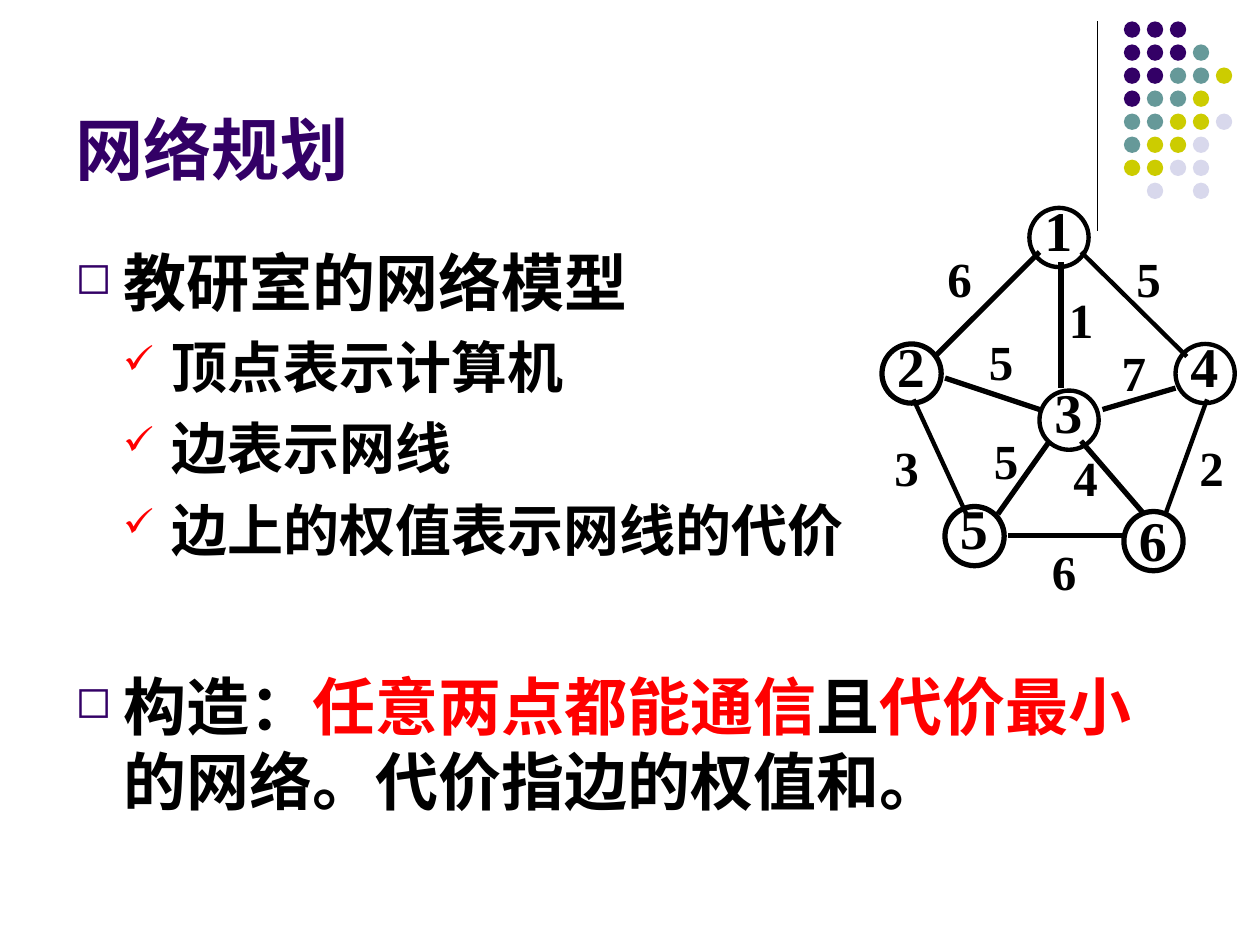
"""Build the network planning slide with its weighted graph."""
from dataclasses import dataclass

from lxml.etree import SubElement
from pptx import Presentation
from pptx.dml.color import RGBColor
from pptx.enum.shapes import MSO_CONNECTOR as Connector, MSO_SHAPE as Shape
from pptx.enum.text import MSO_ANCHOR as Anchor, PP_ALIGN as Align
from pptx.oxml.ns import qn
from pptx.util import Inches, Pt

PURPLE = RGBColor(0x33, 0x00, 0x66)
TEAL = RGBColor(0x66, 0x99, 0x99)
OLIVE = RGBColor(0xCC, 0xCC, 0x00)
LAVENDER = RGBColor(0xD8, 0xD8, 0xEC)
BLACK = RGBColor(0x00, 0x00, 0x00)
RED = RGBColor(0xFF, 0x00, 0x00)

DOT_COLORS = {"P": PURPLE, "T": TEAL, "O": OLIVE, "L": LAVENDER}
DOT_ROWS = ("PPP", "PPPT", "PPTTO", "PTTO", "TTOOL", "TOOL", "OOLL", " L L")
DOT_LEFT, DOT_TOP, DOT_SIZE = 8.92, 0.17, 0.13
DOT_COLUMN_PITCH = (9.65 - DOT_LEFT) / 4
DOT_ROW_PITCH = (1.45 - DOT_TOP) / 7
NODE_SIZE = 0.47


@dataclass(frozen=True)
class Node:
    name: str
    left: float
    top: float
    line_width: float = 3
    text_rise: float = 0.15


@dataclass(frozen=True)
class Edge:
    start: tuple[float, float]
    end: tuple[float, float]
    line_width: float = 3


@dataclass(frozen=True)
class Weight:
    value: str
    left: float
    top: float
    align: Align = Align.LEFT


@dataclass(frozen=True)
class Bullet:
    mark: str
    color: RGBColor
    size: int
    indent: float


@dataclass(frozen=True)
class Item:
    bullet: Bullet
    space_before: float
    runs: tuple[tuple[str, RGBColor], ...]


NODES = (
    Node("1", 8.17, 1.65, 2.5),
    Node("2", 7, 2.73),
    Node("3", 8.25, 3.1, 2.5),
    Node("4", 9.33, 2.73, 2.5),
    Node("5", 7.5, 4.02),
    Node("6", 8.92, 4.06, text_rise=0.1),
)
EDGES = (
    Edge((8.25, 2), (7.42, 2.83)),
    Edge((8.58, 2), (9.42, 2.83), 2.5),
    Edge((7.25, 3.17), (7.67, 4.08), 2.5),
    Edge((8, 4.25), (8.92, 4.25)),
    Edge((9.58, 3.17), (9.25, 4.08), 2.5),
    Edge((8.42, 2.08), (8.42, 3.08)),
    Edge((8.33, 3.5), (7.92, 4.08)),
    Edge((8.58, 3.5), (9.08, 4.08)),
    Edge((8.75, 3.25), (9.33, 3.08)),
    Edge((7.5, 3), (8.25, 3.25)),
)
WEIGHTS = (
    Weight("6", 7.42, 1.92),
    Weight("5", 8.92, 1.92),
    Weight("1", 8.33, 2.25, Align.CENTER),
    Weight("5", 7.75, 2.58),
    Weight("7", 8.75, 2.67, Align.CENTER),
    Weight("3", 7, 3.42),
    Weight("5", 7.79, 3.37),
    Weight("4", 8.42, 3.5),
    Weight("2", 9.42, 3.42),
    Weight("6", 8.25, 4.25),
)
SQUARE = Bullet("◻", PURPLE, 36, 0.38)
CHECK = Bullet("✓", RED, 32, 0.76)
ITEMS = (
    Item(SQUARE, 0, (("教研室的网络模型", BLACK),)),
    Item(CHECK, 8, (("顶点表示计算机", BLACK),)),
    Item(CHECK, 8, (("边表示网线", BLACK),)),
    Item(CHECK, 8, (("边上的权值表示网线的代价", BLACK),)),
    Item(SQUARE, 60, (("构造：", BLACK), ("任意两点都能通信", RED), ("且", BLACK),
                      ("代价最小", RED), ("的网络。代价指边的权值和。", BLACK))),
)


def add_run(paragraph, text: str, size: float, color: RGBColor, font: str = "Arial") -> None:
    run = paragraph.add_run()
    run.text = text
    run.font.name = font
    run.font.size = Pt(size)
    run.font.bold = True
    run.font.color.rgb = color


def add_text_frame(shapes, left: float, top: float, width: float, height: float):
    box = shapes.add_textbox(Inches(left), Inches(top), Inches(width), Inches(height))
    box.text_frame.word_wrap = True
    return box.text_frame


def add_digit(shapes, text: str, left: float, top: float, width: float, height: float,
              size: float, align: Align) -> None:
    paragraph = add_text_frame(shapes, left, top, width, height).paragraphs[0]
    paragraph.alignment = align
    add_run(paragraph, text, size, BLACK, "Times New Roman")


def add_line(shapes, edge: Edge) -> None:
    points = (Inches(value) for value in (*edge.start, *edge.end))
    line = shapes.add_connector(Connector.STRAIGHT, *points)
    line.line.color.rgb = BLACK
    line.line.width = Pt(edge.line_width)
    SubElement(line._element.spPr, qn("a:effectLst"))


def add_circle(shapes, left: float, top: float, size: float):
    circle = shapes.add_shape(Shape.OVAL, Inches(left), Inches(top), Inches(size), Inches(size))
    circle.shadow.inherit = False
    return circle


def add_dots(shapes) -> None:
    for row, codes in enumerate(DOT_ROWS):
        for column, code in enumerate(codes):
            if code in DOT_COLORS:
                dot = add_circle(shapes, DOT_LEFT + column * DOT_COLUMN_PITCH,
                                 DOT_TOP + row * DOT_ROW_PITCH, DOT_SIZE)
                dot.fill.solid()
                dot.fill.fore_color.rgb = DOT_COLORS[code]
                dot.line.fill.background()


def add_node(shapes, node: Node) -> None:
    circle = add_circle(shapes, node.left, node.top, NODE_SIZE)
    circle.fill.background()
    circle.line.color.rgb = BLACK
    circle.line.width = Pt(node.line_width)
    add_digit(shapes, node.name, node.left + 0.02, node.top - node.text_rise,
              0.34, 0.64, 32, Align.CENTER)


def add_item(paragraph, item: Item) -> None:
    bullet = item.bullet
    properties = paragraph._p.get_or_add_pPr()
    properties.set("marL", str(Inches(bullet.indent)))
    properties.set("indent", str(-Inches(0.38)))
    color = SubElement(properties, qn("a:buClr"))
    SubElement(color, qn("a:srgbClr"), val=str(bullet.color))
    SubElement(properties, qn("a:buSzPct"), val="70000")
    SubElement(properties, qn("a:buChar"), char=bullet.mark)
    paragraph.space_before = Pt(item.space_before)
    for text, text_color in item.runs:
        add_run(paragraph, text, bullet.size, text_color)


def main() -> None:
    presentation = Presentation()
    presentation.slide_width, presentation.slide_height = Inches(10), Inches(7.5)
    slide = presentation.slides.add_slide(presentation.slide_layouts[6])

    add_line(slide.shapes, Edge((8.71, 0.17), (8.71, 1.83), 0.75))
    add_dots(slide.shapes.add_group_shape().shapes)

    title = add_text_frame(slide.shapes, 0.5, 0.13, 8.25, 1.42)
    title.vertical_anchor = Anchor.BOTTOM
    add_run(title.paragraphs[0], "网络规划", 39, PURPLE)

    body = add_text_frame(slide.shapes, 0.5, 1.88, 9, 4.82)
    for index, item in enumerate(ITEMS):
        add_item(body.add_paragraph() if index else body.paragraphs[0], item)

    graph = slide.shapes.add_group_shape().shapes
    for node in NODES:
        add_node(graph, node)
    for edge in EDGES:
        add_line(graph, edge)
    for weight in WEIGHTS:
        add_digit(graph, weight.value, weight.left, weight.top, 0.5, 0.57, 28, weight.align)
    presentation.save("out.pptx")


if __name__ == "__main__":
    main()
